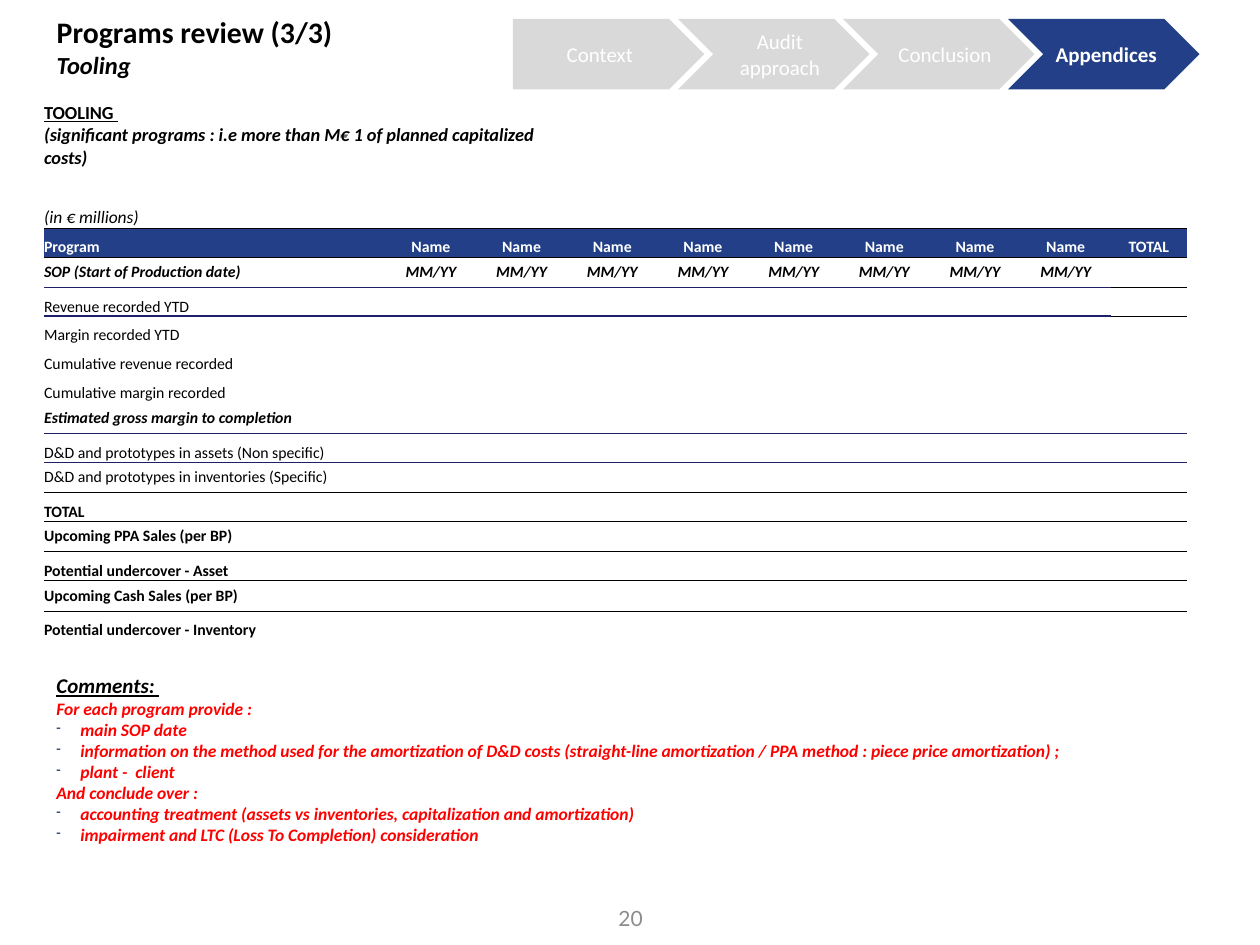
from lxml.etree import SubElement
from pptx import Presentation
from pptx.dml.color import RGBColor
from pptx.enum.shapes import MSO_SHAPE
from pptx.enum.text import MSO_ANCHOR, MSO_AUTO_SIZE, PP_ALIGN
from pptx.oxml.ns import qn
from pptx.util import Emu, Pt

EMU_PER_PX = 9144
BLACK, WHITE, RED, GREY = "000000", "FFFFFF", "FF0000", "D9D9D9"
BLUE, NAVY, BULLET_BLUE, NUMBER_GREY = "223F87", "1F206A", "002060", "8C8C8C"
NO_STYLE = "{2D5ABB26-0587-4C30-8999-92F81FD0307C}"
COLUMN_WIDTHS = [271] + [72] * 8 + [60]
TALL_ROWS = {1, 4, 9, 11, 13, 15}
HEADER_ROW, SOP_ROW = 3, 4
RULES = {2: (BLACK, 0.5), 3: (BLACK, 0.5), 4: (NAVY, 1), 9: (NAVY, 1),
         11: (BLACK, 0.5), 13: (BLACK, 0.5), 15: (BLACK, 0.5)}
LINE_LABELS = [
    ("Revenue recorded YTD", False, False),
    ("Margin recorded YTD", False, False),
    ("Cumulative revenue recorded", False, False),
    ("Cumulative margin recorded", False, False),
    ("Estimated gross margin to completion", True, True),
    ("D&D and prototypes in assets (Non specific)", False, False),
    ("D&D and prototypes in inventories (Specific)", False, False),
    ("TOTAL", True, False),
    ("Upcoming PPA Sales (per BP)", True, False),
    ("Potential undercover - Asset", True, False),
    ("Upcoming Cash Sales (per BP)", True, False),
    ("Potential undercover - Inventory", True, False),
]
COMMENTS = [
    ("For each program provide :", False),
    ("main SOP date", True),
    ("information on the method used for the amortization of D&D costs "
     "(straight-line amortization / PPA method : piece price amortization) ;", True),
    ("plant -  client", True),
    ("And conclude over :", False),
    ("accounting treatment (assets vs inventories, capitalization and amortization)", True),
    ("impairment and LTC (Loss To Completion) consideration", True),
]
STEPS = ["Context", "Audit approach", "Conclusion", "Appendices"]


def px(length):
    """Turn whole px into EMU."""
    return Emu(round(length * EMU_PER_PX))


def rgb(color):
    """Turn a hex string into a colour."""
    return RGBColor.from_string(color)


def write(paragraph, text, size, color=BLACK, bold=False, italic=False,
          underline=False, align=PP_ALIGN.LEFT, font="Calibri"):
    """Set the text of a paragraph and format its runs."""
    paragraph.text = text
    paragraph.alignment = align
    paragraph.space_before = Pt(0)
    for run in paragraph.runs:
        run.font.name, run.font.size = font, Pt(size)
        run.font.bold, run.font.italic = bold, italic
        run.font.underline = underline
        run.font.color.rgb = rgb(color)


def add_title(slide, left, top, width, height):
    """Place the title and its italic subtitle."""
    title = slide.shapes.title
    title.left, title.top, title.width, title.height = map(px, (left, top, width, height))
    frame = title.text_frame
    frame.text = "Programs review (3/3)\nTooling"
    frame.word_wrap, frame.auto_size = True, MSO_AUTO_SIZE.NONE
    frame.vertical_anchor = MSO_ANCHOR.TOP
    write(frame.paragraphs[0], "Programs review (3/3)", 17, bold=True)
    write(frame.paragraphs[1], "Tooling", 14, bold=True, italic=True)


def add_steps(slide, left, top, width, height, pitch):
    """Draw the chain of arrows with the last one highlighted."""
    for index, label in enumerate(STEPS):
        first, current = index == 0, index == len(STEPS) - 1
        kind = MSO_SHAPE.PENTAGON if first else MSO_SHAPE.CHEVRON
        shape = slide.shapes.add_shape(
            kind, px(left + index * pitch), px(top), px(width), px(height))
        shape.shadow.inherit = False
        shape.fill.solid()
        shape.fill.fore_color.rgb = rgb(BLUE if current else GREY)
        shape.line.fill.background()
        frame = shape.text_frame
        frame.word_wrap, frame.vertical_anchor = True, MSO_ANCHOR.MIDDLE
        frame.margin_left = frame.margin_top = frame.margin_bottom = px(10)
        frame.margin_right = px(10 if first else 0)
        write(frame.paragraphs[0], label, 12, WHITE, bold=current,
              align=PP_ALIGN.LEFT if current else PP_ALIGN.CENTER)


def add_border(cell, tag, color, width):
    """Draw one side of a table cell."""
    line = SubElement(cell._tc.get_or_add_tcPr(), qn(tag), w=str(Pt(width)))
    SubElement(SubElement(line, qn("a:solidFill")), qn("a:srgbClr"), val=color)


def rule_below(row, column):
    """Give the colour and width of the rule under a cell, if any."""
    if row == SOP_ROW and column == len(COLUMN_WIDTHS) - 1:
        return BLACK, 0.5
    return RULES.get(row)


def format_cell(cell, row, column):
    """Set the margins, rules, fill and empty text size of a cell."""
    cell.margin_left = cell.margin_right = cell.margin_top = cell.margin_bottom = 0
    cell.vertical_anchor = (MSO_ANCHOR.MIDDLE if row in RULES and row > HEADER_ROW
                            else MSO_ANCHOR.BOTTOM)
    for tag, ruled_row in (("a:lnT", row - 1), ("a:lnB", row)):
        rule = rule_below(ruled_row, column)
        if rule:
            add_border(cell, tag, *rule)
    if row == HEADER_ROW:
        cell.fill.solid()
        cell.fill.fore_color.rgb = rgb(BLUE)
    else:
        cell.fill.background()
    if not cell.text_frame.text:
        SubElement(cell.text_frame.paragraphs[0]._p, qn("a:endParaRPr"), sz="900")


def fill_table(table):
    """Write the words of the tooling table."""
    def first(row, column=0):
        """Give the first paragraph of a cell."""
        return table.cell(row, column).text_frame.paragraphs[0]

    table.cell(0, 0).merge(table.cell(0, 2))
    write(first(0), "TOOLING ", 10.5, bold=True, underline=True)
    write(table.cell(0, 0).text_frame.add_paragraph(),
          "(significant programs : i.e more than M€ 1 of planned capitalized costs)",
          10.5, bold=True, italic=True)
    write(first(2), "(in € millions)", 10, italic=True)
    write(first(HEADER_ROW), "Program", 9, WHITE, bold=True)
    write(first(SOP_ROW), "SOP (Start of Production date)", 9, bold=True,
          italic=True, align=PP_ALIGN.JUSTIFY)
    last = len(COLUMN_WIDTHS) - 1
    for column in range(1, last + 1):
        write(first(HEADER_ROW, column), "TOTAL" if column == last else "Name", 9,
              WHITE, bold=True, align=PP_ALIGN.CENTER)
        if column < last:
            write(first(SOP_ROW, column), "MM/YY", 9, bold=True, italic=True,
                  align=PP_ALIGN.CENTER)
    for row, (label, bold, italic) in enumerate(LINE_LABELS, SOP_ROW + 1):
        write(first(row), label, 9, bold=bold, italic=italic,
              align=PP_ALIGN.JUSTIFY if row in RULES else PP_ALIGN.LEFT)


def add_tooling_table(slide, left, top, width, height):
    """Build the tooling table."""
    row_count = SOP_ROW + 1 + len(LINE_LABELS)
    table = slide.shapes.add_table(row_count, len(COLUMN_WIDTHS), px(left), px(top),
                                   px(width), px(height)).table
    table.first_row = table.horz_banding = False
    table._tbl.tblPr.find(qn("a:tableStyleId")).text = NO_STYLE
    for column, column_width in zip(table.columns, COLUMN_WIDTHS):
        column.width = px(column_width)
    fill_table(table)
    for row_index, row in enumerate(table.rows):
        row.height = px(24 if row_index in TALL_ROWS else 23)
        for column_index, cell in enumerate(row.cells):
            format_cell(cell, row_index, column_index)


def set_indent(paragraph, bulleted):
    """Set the indent of a comment and its dash."""
    paragraph.level = 1
    properties = paragraph._p.get_or_add_pPr()
    indent = px(19) if bulleted else 0
    properties.set("marL", str(indent))
    properties.set("indent", str(-indent))
    if bulleted:
        color = SubElement(properties, qn("a:buClr"))
        SubElement(color, qn("a:srgbClr"), val=BULLET_BLUE)
        SubElement(properties, qn("a:buSzPct"), val="75000")
        SubElement(properties, qn("a:buChar"), char="-")
    else:
        SubElement(properties, qn("a:buNone"))


def add_comments(slide, left, top, width, height):
    """Write the comments under the table."""
    frame = slide.shapes.add_textbox(*map(px, (left, top, width, height))).text_frame
    frame.word_wrap, frame.auto_size = True, MSO_AUTO_SIZE.SHAPE_TO_FIT_TEXT
    heading = frame.paragraphs[0]
    set_indent(heading, False)
    write(heading, "Comments: ", 12, bold=True, italic=True, underline=True,
          align=PP_ALIGN.JUSTIFY)
    for text, bulleted in COMMENTS:
        paragraph = frame.add_paragraph()
        set_indent(paragraph, bulleted)
        write(paragraph, text, 10, RED, bold=True, italic=True, align=PP_ALIGN.JUSTIFY)


def add_page_number(slide, left, top, width, height):
    """Write the page number."""
    frame = slide.shapes.add_textbox(*map(px, (left, top, width, height))).text_frame
    frame.word_wrap, frame.vertical_anchor = True, MSO_ANCHOR.MIDDLE
    write(frame.paragraphs[0], "20", 12, NUMBER_GREY, align=PP_ALIGN.RIGHT, font="Lato")


def main():
    """Build the slide and save it."""
    presentation = Presentation()
    presentation.slide_width, presentation.slide_height = px(1000), px(750)
    slide = presentation.slides.add_slide(presentation.slide_layouts[5])
    add_title(slide, 35, 6, 917, 93)
    add_tooling_table(slide, 35, 81, 910, 413)
    add_comments(slide, 35, 529, 917, 163)
    add_steps(slide, 407, 15, 152, 56, 131)
    add_page_number(slide, 295, 709, 225, 40)
    presentation.save("out.pptx")


if __name__ == "__main__":
    main()
